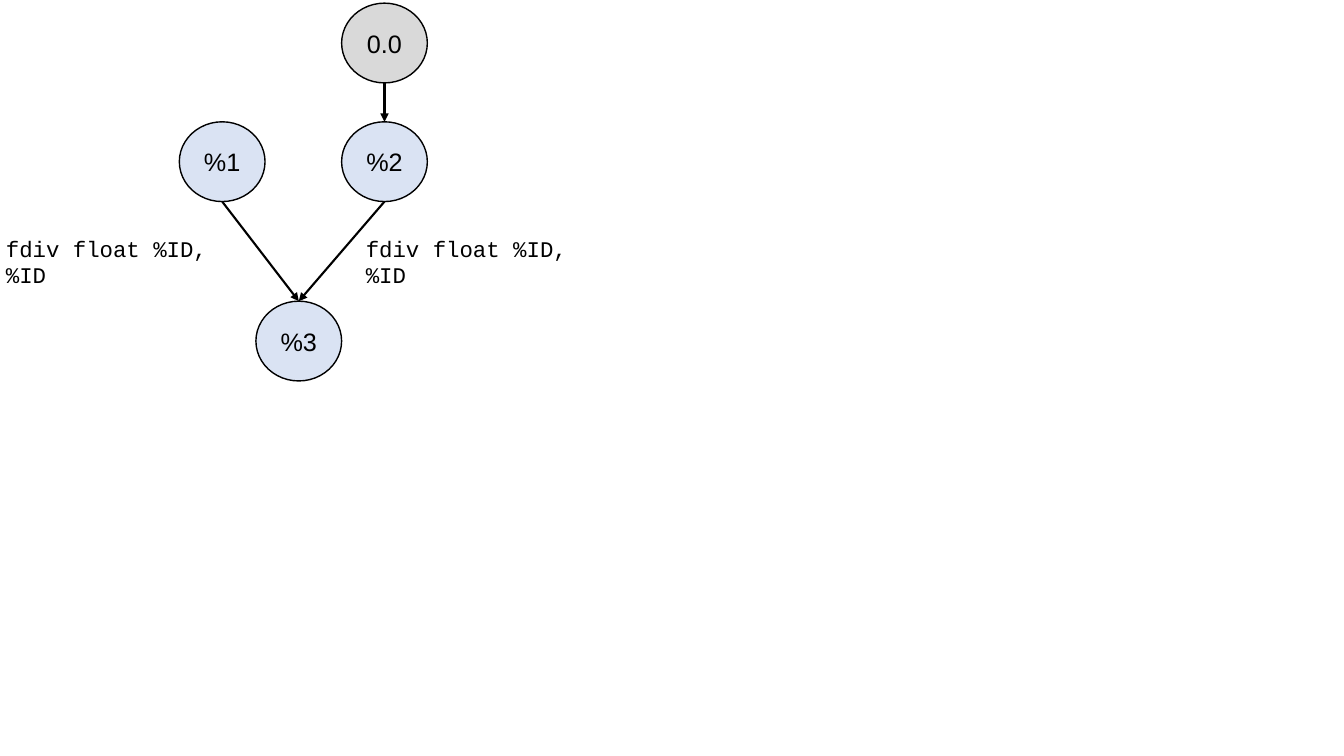
from lxml import etree
from pptx import Presentation
from pptx.dml.color import RGBColor
from pptx.enum.shapes import MSO_CONNECTOR, MSO_SHAPE
from pptx.enum.text import MSO_ANCHOR, MSO_AUTO_SIZE, PP_ALIGN
from pptx.oxml.ns import qn
from pptx.util import Cm, Pt

OVAL = MSO_SHAPE.OVAL
LINE = MSO_CONNECTOR.STRAIGHT
MIDDLE, TOP = MSO_ANCHOR.MIDDLE, MSO_ANCHOR.TOP
CENTER, LEFT = PP_ALIGN.CENTER, PP_ALIGN.LEFT
GROW = MSO_AUTO_SIZE.SHAPE_TO_FIT_TEXT

BLACK = RGBColor(0x00, 0x00, 0x00)
BLUE = RGBColor(0xDA, 0xE3, 0xF3)
GREY = RGBColor(0xD9, 0xD9, 0xD9)


def write(frame, text, font="Arial", size=18, color=BLACK, align=LEFT, anchor=TOP):
    frame.word_wrap = True
    frame.vertical_anchor = anchor
    para = frame.paragraphs[0]
    para.alignment = align
    run = para.add_run()
    run.text = text
    run.font.name = font
    run.font.size = Pt(size)
    run.font.color.rgb = color


class Graph:
    wide, high = Cm(2.16), Cm(2.01)
    edge, stroke = Pt(1), Pt(1.5)

    def __init__(self, slide):
        self.shapes = slide.shapes

    def node(self, text, left, top, fill=BLUE):
        oval = self.shapes.add_shape(OVAL, Cm(left), Cm(top), self.wide, self.high)
        oval.shadow.inherit = False
        oval.fill.solid()
        oval.fill.fore_color.rgb = fill
        oval.line.color.rgb = BLACK
        oval.line.width = self.edge
        write(oval.text_frame, text, align=CENTER, anchor=MIDDLE)
        return oval

    def arrow(self, start, end):
        """Join the bottom of one node to the top of another."""
        half = self.wide // 2
        link = self.shapes.add_connector(
            LINE, start.left + half, start.top + self.high, end.left + half, end.top)
        link.line.color.rgb = BLACK
        link.line.width = self.stroke
        etree.SubElement(link.line._get_or_add_ln(), qn("a:tailEnd"), type="triangle")
        etree.SubElement(link._element.spPr, qn("a:effectLst"))

    def label(self, text, left, top):
        box = self.shapes.add_textbox(Cm(left), Cm(top), Cm(6.43), Cm(0.94))
        write(box.text_frame, text, font="Courier New", size=16)
        box.text_frame.auto_size = GROW


deck = Presentation()
deck.slide_width, deck.slide_height = Cm(33.87), Cm(19.05)
graph = Graph(deck.slides.add_slide(deck.slide_layouts[6]))

# Nodes
result = graph.node("%3", 6.45, 7.59)
first = graph.node("%1", 4.52, 3.07)
second = graph.node("%2", 8.61, 3.07)
zero = graph.node("0.0", 8.61, 0.08, fill=GREY)

# Arrows
for start, end in ((first, result), (second, result), (zero, second)):
    graph.arrow(start, end)

# Instruction beside each lower arrow
for left in (8.97, -0.1):
    graph.label("fdiv float %ID, %ID", left, 5.79)

deck.save("out.pptx")
